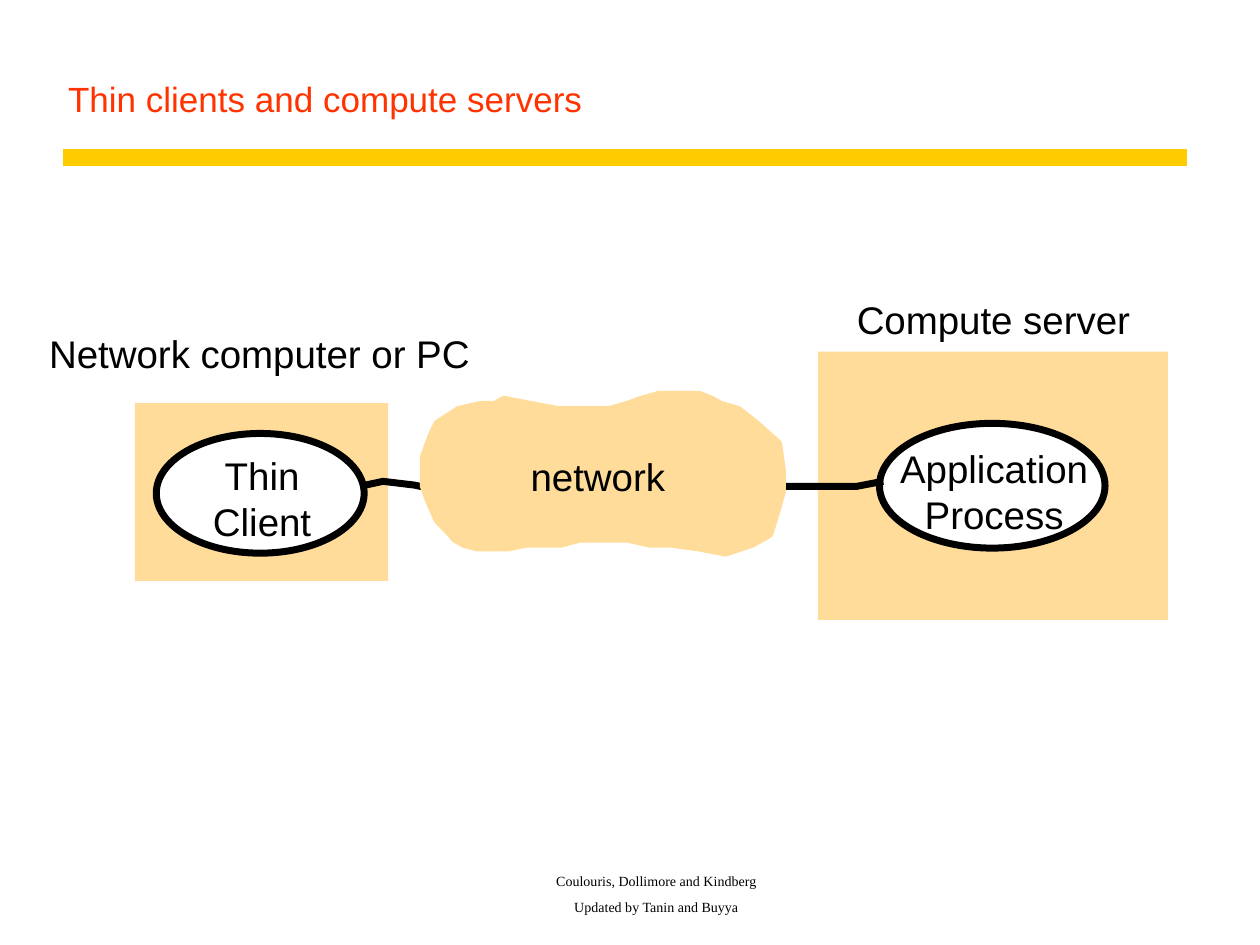
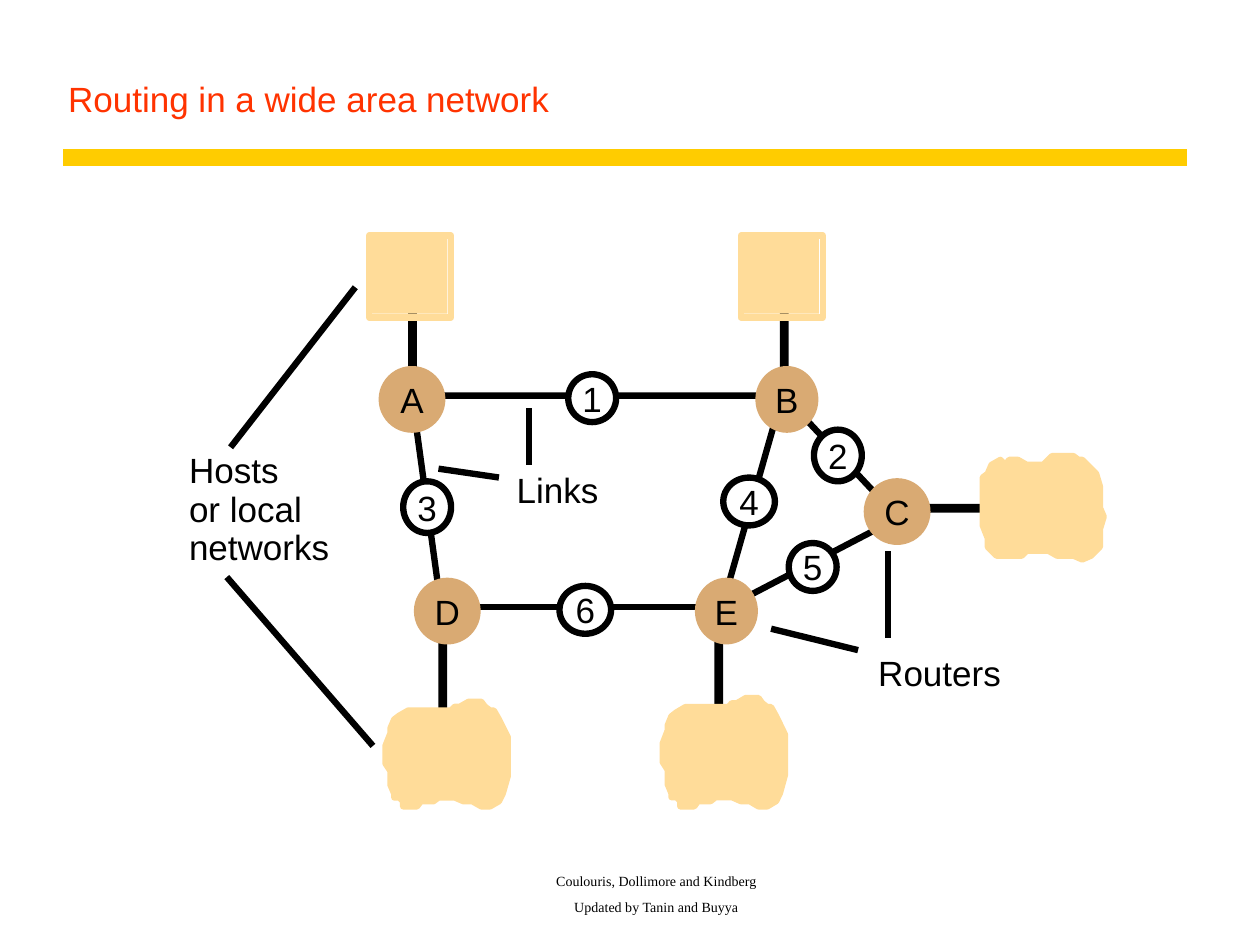
from pptx import Presentation, util as u
from pptx.dml.color import RGBColor
from pptx.enum import shapes as es, text as et
from lxml import etree

INK, PAPER, SAND, TAN, GOLD, RED = (
    "000000", "FFFFFF", "FFDC99", "D9AA73", "FFCC00", "FF3300")
RECT, OVAL = es.MSO_SHAPE.RECTANGLE, es.MSO_SHAPE.OVAL
LEFT, MID = et.PP_ALIGN.LEFT, et.PP_ALIGN.CENTER
LOW = et.MSO_ANCHOR.BOTTOM
NS = "http://schemas.openxmlformats.org/drawingml/2006/main"

FOOT = ["Coulouris, Dollimore and Kindberg", "Updated by Tanin and Buyya"]

# Thin client slide
MACHINES = [(1.07, 3.2, 2.01, 1.41), (6.49, 2.79, 2.78, 2.13)]
TASKS = [(["Thin", "Client"], (1.24, 3.44, 1.65, 0.95)),
         (["Application", "Process"], (6.98, 3.36, 1.79, 0.99))]
NAMES = [("Network computer or PC", (0.39, 2.62, 3.34, 0.37)),
         ("Compute server", (6.8, 2.35, 2.17, 0.37))]
WIRES = [[(2.9, 3.85), (3.04, 3.82), (3.29, 3.85), (3.38, 3.87), (3.48, 3.9)],
         [(7.01, 3.82), (6.8, 3.86), (5.96, 3.86)]]
NET = [
    (3.43, 3.44), (3.47, 3.36), (3.64, 3.25), (3.82, 3.21), (3.93, 3.21),
    (4, 3.17), (4.21, 3.21), (4.42, 3.25), (4.84, 3.25), (4.98, 3.21),
    (5.09, 3.17), (5.23, 3.13), (5.55, 3.13), (5.65, 3.17), (5.72, 3.21),
    (5.86, 3.25), (6, 3.36), (6.18, 3.52), (6.21, 3.74), (6.21, 3.9),
    (6.18, 4.01), (6.11, 4.24), (5.97, 4.32), (5.76, 4.39), (5.55, 4.35),
    (5.33, 4.32), (5.16, 4.32), (4.98, 4.28), (4.6, 4.28), (4.45, 4.32),
    (4.17, 4.32), (4.03, 4.35), (3.79, 4.35), (3.68, 4.32), (3.61, 4.28),
    (3.54, 4.2), (3.47, 4.13), (3.4, 3.97), (3.36, 3.86), (3.36, 3.63),
    (3.4, 3.52)]

# Routing slide
ROUTERS = {"A": (3.03, 2.93, 0.48, 0.48), "B": (6.02, 2.93, 0.45, 0.48),
           "C": (6.88, 3.82, 0.48, 0.48), "D": (3.31, 4.61, 0.48, 0.48),
           "E": (5.54, 4.61, 0.45, 0.48)}
LINKS = {"1": (4.51, 2.97, 0.38, 0.38), "2": (6.46, 3.41, 0.38, 0.41),
         "3": (3.2, 3.82, 0.38, 0.41), "4": (5.74, 3.79, 0.41, 0.38),
         "5": (6.26, 4.31, 0.38, 0.38), "6": (4.44, 4.65, 0.41, 0.38)}
PATHS = [((3.51, 4.89), (3.27, 3.14)), ((3.48, 4.82), (5.74, 4.82)),
         ((6.22, 3.1), (5.71, 4.89)), ((5.71, 4.85), (7.15, 4.1))]
BEND = [(3.24, 3.14), (6.22, 3.14), (7.12, 4.1)]
POINTERS = [((1.83, 3.55), (2.82, 2.28)), ((1.8, 4.58), (2.96, 5.92)),
            ((6.81, 5.16), (6.12, 4.99)), ((7.05, 5.06), (7.05, 4.37)),
            ((3.96, 3.79), (3.48, 3.72)), ((4.2, 3.69), (4.2, 3.24))]
LEGS = [(3.48, 4.85, 0.07, 1.06), (5.67, 4.82, 0.07, 1),
        (3.24, 2.42, 0.07, 0.62), (6.19, 2.28, 0.07, 0.79),
        (7.12, 4, 0.76, 0.07)]
HOSTS = [(2.93, 1.87), (5.88, 1.87)]
NOTES = [(["Hosts", "or local", "networks"], (1.5, 3.59, 1.11, 0.94)),
         ("Links", (4.1, 3.72, 0.65, 0.33)),
         ("Routers", (6.97, 5.17, 0.98, 0.33))]
LAN = [
    (3.1, 5.78), (3.13, 5.71), (3.17, 5.68), (3.24, 5.64), (3.58, 5.64),
    (3.61, 5.61), (3.65, 5.61), (3.72, 5.57), (3.82, 5.57), (3.85, 5.61),
    (3.89, 5.64), (3.92, 5.64), (3.96, 5.71), (4.03, 5.85), (4.03, 6.16),
    (3.99, 6.3), (3.96, 6.36), (3.89, 6.4), (3.82, 6.4), (3.75, 6.36),
    (3.68, 6.36), (3.61, 6.33), (3.48, 6.33), (3.44, 6.36), (3.34, 6.36),
    (3.31, 6.4), (3.2, 6.4), (3.2, 6.36), (3.17, 6.33), (3.13, 6.33),
    (3.13, 6.3), (3.1, 6.23), (3.1, 6.12), (3.06, 6.06), (3.06, 5.92),
    (3.1, 5.82)]
SIDE = [
    (7.8, 3.79), (7.84, 3.76), (7.87, 3.69), (7.94, 3.65), (7.98, 3.69),
    (8.01, 3.65), (8.08, 3.65), (8.15, 3.69), (8.28, 3.69), (8.32, 3.65),
    (8.35, 3.62), (8.52, 3.62), (8.56, 3.65), (8.59, 3.65), (8.63, 3.69),
    (8.7, 3.76), (8.73, 3.86), (8.73, 4.03), (8.76, 4.1), (8.73, 4.2),
    (8.73, 4.34), (8.66, 4.41), (8.59, 4.44), (8.52, 4.41), (8.39, 4.41),
    (8.32, 4.37), (8.15, 4.37), (8.11, 4.41), (7.91, 4.41), (7.87, 4.37),
    (7.84, 4.34), (7.84, 4.27), (7.8, 4.17)]


def color(code):
    return RGBColor.from_string(code)


def inch(nums):
    return [u.Inches(n) for n in nums]


def write(shape, lines, size=20, font="Arial", ink=INK, align=LEFT,
          anchor=et.MSO_ANCHOR.TOP, pad=(0, 0, 0, 0), gap=0, lead=None,
          wrap=False):
    """Fill a shape with one paragraph per line; pad is left, top, right, bottom."""
    frame = shape.text_frame
    frame.auto_size = et.MSO_AUTO_SIZE.NONE
    frame.word_wrap, frame.vertical_anchor = wrap, anchor
    (frame.margin_left, frame.margin_top,
     frame.margin_right, frame.margin_bottom) = inch(pad)
    for i, line in enumerate([lines] if isinstance(lines, str) else lines):
        para = frame.add_paragraph() if i else frame.paragraphs[0]
        para.text, para.alignment = line, align
        para.space_before = u.Pt(gap if i else 0)
        if lead:
            para.line_spacing = u.Pt(lead)
        para.font.size, para.font.name = u.Pt(size), font
        para.font.color.rgb = color(ink)


def label(slide, lines, box, **fmt):
    write(slide.shapes.add_textbox(*inch(box)), lines, **fmt)


def paint(shape, fill=None, edge=None, width=3.63):
    shape.shadow.inherit = False
    if fill:
        shape.fill.solid()
        shape.fill.fore_color.rgb = color(fill)
    else:
        shape.fill.background()
    if edge:
        shape.line.color.rgb = color(edge)
        shape.line.width = u.Pt(width)
    else:
        shape.line.fill.background()
    return shape


def block(slide, kind, box, *look):
    return paint(slide.shapes.add_shape(kind, *inch(box)), *look)


def trace(slide, dots, *look, close=False):
    first, *rest = [inch(dot) for dot in dots]
    pen = slide.shapes.build_freeform(*first, scale=1.0)
    pen.add_line_segments(rest, close=close)
    return paint(pen.convert_to_shape(), *look)


def line(slide, start, end, ink=INK, width=3.63):
    wire = slide.shapes.add_connector(
        es.MSO_CONNECTOR.STRAIGHT, *inch(start), *inch(end))
    wire.line.color.rgb, wire.line.width = color(ink), u.Pt(width)
    etree.SubElement(wire.element.spPr, f"{{{NS}}}effectLst")
    return wire


def start(deck, title):
    slide = deck.slides.add_slide(deck.slide_layouts[5])
    head = slide.shapes.title
    head.left, head.top, head.width, head.height = inch((0.44, 0.25, 8.97, 0.75))
    write(head, title, ink=RED, anchor=LOW, wrap=True,
          pad=(0.1, 0.05, 0.1, 0.05))
    label(slide, FOOT, (2.17, 7, 6.08, 0.31), size=8, font="Times New Roman",
          align=MID, anchor=LOW, gap=5, wrap=True, pad=(0.1, 0.05, 0.1, 0.05))
    return slide


def thin(deck):
    slide = start(deck, "Thin clients and compute servers")
    band = line(slide, (0.5, 1.25), (9.42, 1.25), GOLD, 10)
    # The band belongs to the layout, so every slide shows it
    deck.slide_layouts[5].shapes.element.append(band.element)
    mid = dict(size=22, align=MID, anchor=et.MSO_ANCHOR.MIDDLE)
    for box in MACHINES:
        block(slide, RECT, box, SAND)
    for lines, box in TASKS:
        write(block(slide, OVAL, box, PAPER, INK, 4), lines,
              pad=(0.03, 0.08, 0, 0), **mid)
    for name, box in NAMES:
        label(slide, name, box, size=22)
    for dots in WIRES:
        trace(slide, dots, None, INK, 4)
    cloud = trace(slide, NET, SAND, SAND, 4, close=True)
    write(cloud, "network", pad=(0, 0.03, 0.08, 0), **mid)


def routing(deck):
    slide = start(deck, "Routing in a wide area network")
    trace(slide, BEND, None, INK)
    for ends in PATHS + POINTERS:
        line(slide, *ends)
    for box in LEGS:
        block(slide, RECT, box, INK)
    for x, y in HOSTS:
        block(slide, RECT, (x, y, 0.62, 0.62), SAND)
        block(slide, RECT, (x, y, 0.65, 0.65), None, SAND)
    # The cloud below E is the one below D, moved and slightly taller
    twin = [(x + 2.2, 5.54 + (y - 5.57) * 0.86 / 0.83) for x, y in LAN]
    for dots in (LAN, SIDE, twin):
        trace(slide, dots, SAND, SAND, close=True)
    for nodes, look in ((ROUTERS, (TAN, TAN)), (LINKS, (PAPER, INK))):
        for name, box in nodes.items():
            write(block(slide, OVAL, box, *look), name, align=MID,
                  anchor=et.MSO_ANCHOR.MIDDLE)
    for lines, box in NOTES:
        label(slide, lines, box, lead=22 if len(lines) == 3 else None)


def main():
    deck = Presentation()
    deck.slide_width, deck.slide_height = inch((10, 7.5))
    thin(deck)
    routing(deck)
    deck.save("out.pptx")


if __name__ == "__main__":
    main()
